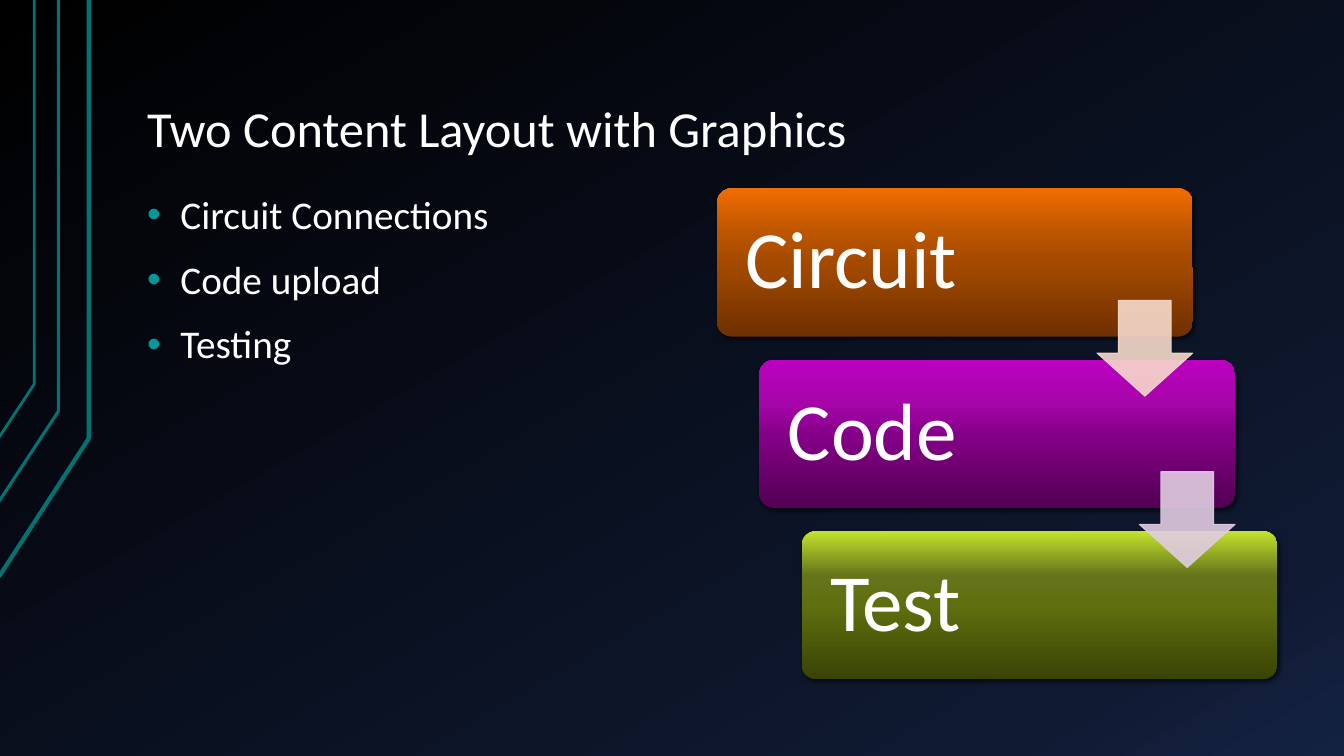
"""Build a slide with a bulleted list beside a descending three-step process."""
import lxml.etree
import pptx
import pptx.dml.color
import pptx.enum.shapes
import pptx.enum.text
import pptx.oxml
import pptx.oxml.ns
import pptx.util

Inches = pptx.util.Inches
Pt = pptx.util.Pt
qn = pptx.oxml.ns.qn
SHAPES = pptx.enum.shapes.MSO_SHAPE
ANCHOR = pptx.enum.text.MSO_ANCHOR

COLORS = {
    "text": "FFFFFF",
    "circuit_line": "007373",
    "bullet": "009999",
    "shadow": "000000",
}
BACKGROUND_STOPS = [(0, "000000"), (85, "0F1931"), (100, "142242")]
CIRCUIT_LINES = [
    (3, [(-0.01, 5.72), (0.88, 4.35), (0.88, 0)]),
    (2.25, [(-0.02, 4.99), (0.58, 4.08), (0.58, 0)]),
    (2, [(-0.01, 4.34), (0.34, 3.81), (0.34, 0)]),
]
STEPS = [
    ("Circuit", [(0, "703000"), (50, "A44A00"), (70, "BC5500"), (100, "F26D00")]),
    ("Code", [(0, "520054"), (50, "850088"), (70, "A505A9"), (100, "BC00C0")]),
    ("Test", [(0, "394404"), (50, "5F6F0F"), (70, "65741A"), (100, "C4E32D")]),
]
ARROW_COLORS = ["F7DACC", "E0CCE1"]
STEP_LEFT, STEP_TOP, STEP_WIDTH, STEP_HEIGHT = 7.11, 1.87, 4.72, 1.47
STEP_DX, STEP_DY = 0.42, 1.7
ARROW_SIZE, ARROW_TOP = 0.95, 2.98


def rgb(value):
    return pptx.dml.color.RGBColor.from_string(value)


def add_color(parent, value, alpha=None):
    color = lxml.etree.SubElement(parent, qn("a:srgbClr"), val=value)
    if alpha is not None:
        lxml.etree.SubElement(color, qn("a:alpha"), val=str(alpha * 1000))


def set_gradient(fill, owner, stops, angle):
    fill.solid()
    solid = next(owner.iter(qn("a:solidFill")))
    gradient = pptx.oxml.parse_xml(
        f'<a:gradFill {pptx.oxml.ns.nsdecls("a")} rotWithShape="1"><a:gsLst/>'
        f'<a:lin ang="{angle * 60000}" scaled="0"/></a:gradFill>')
    for position, value in stops:
        stop = lxml.etree.SubElement(gradient[0], qn("a:gs"), pos=str(position * 1000))
        add_color(stop, value)
    solid.getparent().replace(solid, gradient)


def write_text(frame, lines, *, size, inset, anchor, before=0, bullet=None):
    frame.word_wrap = True
    frame.auto_size = pptx.enum.text.MSO_AUTO_SIZE.NONE
    frame.vertical_anchor = anchor
    frame.margin_left = frame.margin_right = Inches(inset[0])
    frame.margin_top = frame.margin_bottom = Inches(inset[1])
    for index, line in enumerate(lines):
        paragraph = frame.add_paragraph() if index else frame.paragraphs[0]
        paragraph.alignment = pptx.enum.text.PP_ALIGN.LEFT
        paragraph.line_spacing = 0.9
        paragraph.space_before = Pt(before)
        run = paragraph.add_run()
        run.text = line
        run.font.name = "Calibri"
        run.font.size = Pt(size)
        run.font.color.rgb = rgb(COLORS["text"])
        if bullet:
            add_bullet(paragraph, bullet)


def add_bullet(paragraph, color):
    properties = paragraph._p.get_or_add_pPr()
    properties.set("marL", str(Inches(0.33)))
    properties.set("indent", str(-Inches(0.33)))
    add_color(lxml.etree.SubElement(properties, qn("a:buClr")), color)
    lxml.etree.SubElement(properties, qn("a:buFont"), typeface="Arial")
    lxml.etree.SubElement(properties, qn("a:buChar"), char="•")


def fill_placeholder(placeholder, box, lines, **text_format):
    placeholder.left, placeholder.top, placeholder.width, placeholder.height = map(Inches, box)
    write_text(placeholder.text_frame, lines, inset=(0.13, 0.07), **text_format)


def add_circuit_line(slide, width, points):
    start, *rest = [(Inches(x), Inches(y)) for x, y in points]
    builder = slide.shapes.build_freeform(*start)
    builder.add_line_segments(rest, close=False)
    trace = builder.convert_to_shape()
    trace.shadow.inherit = False
    trace.fill.background()
    trace.line.color.rgb = rgb(COLORS["circuit_line"])
    trace.line.width = Pt(width)


def add_step(slide, index, label, stops):
    step = slide.shapes.add_shape(
        SHAPES.ROUNDED_RECTANGLE,
        Inches(STEP_LEFT + index * STEP_DX), Inches(STEP_TOP + index * STEP_DY),
        Inches(STEP_WIDTH), Inches(STEP_HEIGHT))
    step.adjustments[0] = 0.1
    set_gradient(step.fill, step._element.spPr, stops, 270)
    step.line.fill.background()
    step.shadow.inherit = False
    shadow = lxml.etree.SubElement(
        step._element.spPr.find(qn("a:effectLst")), qn("a:outerShdw"),
        blurRad=str(Pt(3)), dist=str(Pt(2)), dir=str(45 * 60000), rotWithShape="0")
    add_color(shadow, COLORS["shadow"], alpha=60)
    write_text(step.text_frame, [label], size=58, inset=(0.24, 0.24), anchor=ANCHOR.MIDDLE)


def add_step_arrow(slide, index, color):
    arrow = slide.shapes.add_shape(
        SHAPES.DOWN_ARROW,
        Inches(STEP_LEFT + STEP_WIDTH - ARROW_SIZE + index * STEP_DX),
        Inches(ARROW_TOP + index * STEP_DY), Inches(ARROW_SIZE), Inches(ARROW_SIZE))
    arrow.adjustments[0] = 0.55
    arrow.adjustments[1] = 0.45
    arrow.shadow.inherit = False
    arrow.line.width = Pt(0.75)
    for fill in (arrow.fill, arrow.line.fill):
        fill.solid()
        fill.fore_color.rgb = rgb(color)
    for value in arrow._element.spPr.iter(qn("a:srgbClr")):
        lxml.etree.SubElement(value, qn("a:alpha"), val="90000")


def main():
    presentation = pptx.Presentation()
    presentation.slide_width = Inches(13.33)
    presentation.slide_height = Inches(7.5)
    slide = presentation.slides.add_slide(presentation.slide_layouts[1])
    set_gradient(slide.background.fill, slide._element, BACKGROUND_STOPS, 60)
    for width, points in CIRCUIT_LINES:
        add_circuit_line(slide, width, points)
    fill_placeholder(slide.shapes.title, (1.33, 0.3, 11.33, 1.34),
                     ["Two Content Layout with Graphics"], size=36, anchor=ANCHOR.BOTTOM)
    fill_placeholder(slide.placeholders[1], (1.33, 1.87, 5.55, 4.88),
                     ["Circuit Connections", "Code upload", "Testing"],
                     size=28, anchor=ANCHOR.TOP, before=16, bullet=COLORS["bullet"])
    for index, (label, stops) in enumerate(STEPS):
        add_step(slide, index, label, stops)
    for index, color in enumerate(ARROW_COLORS):
        add_step_arrow(slide, index, color)
    presentation.save("out.pptx")


if __name__ == "__main__":
    main()
